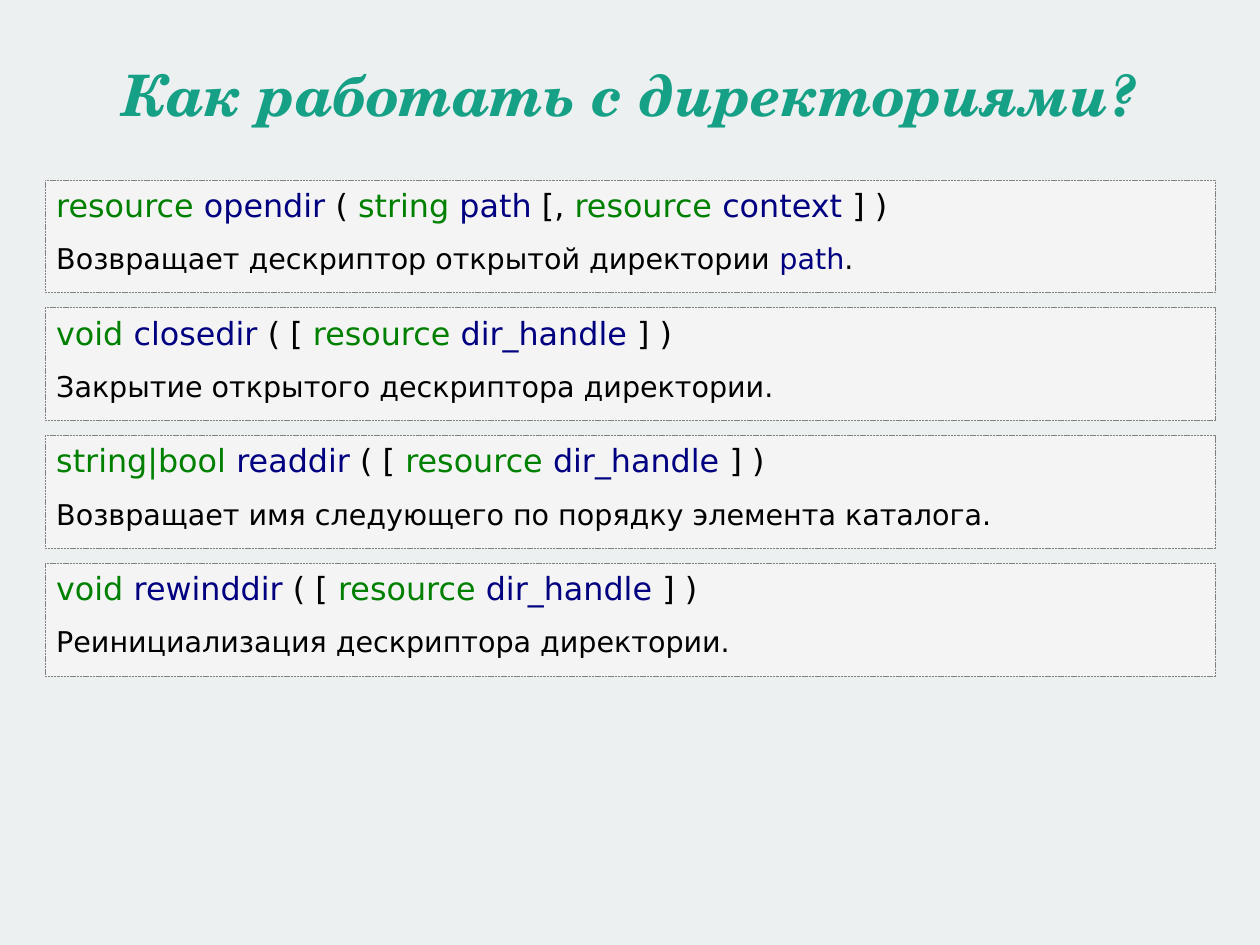
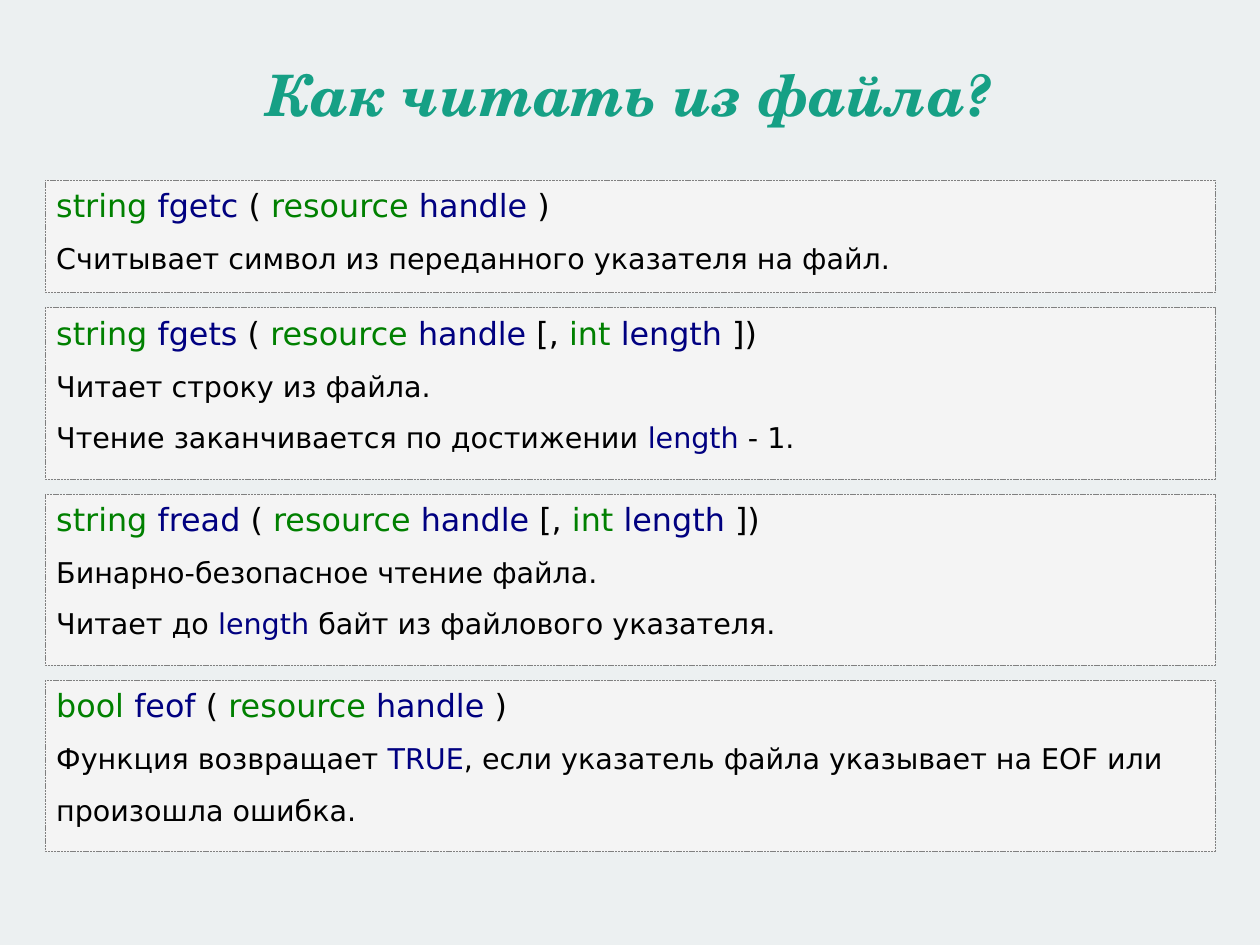
from pptx import Presentation
from pptx.dml.color import RGBColor
from pptx.enum import dml, shapes, text
from pptx.util import Cm, Pt

BACK, PANEL, EDGE = "ECF0F1", "F4F4F4", "808080"
TEAL, GREEN, NAVY, BLACK = "16A085", "008000", "000080", "000000"
TITLE_FONT, BODY_FONT = "TeX Gyre Schola", "DejaVu Sans"
TYPES = {"void", "resource", "string", "string|bool", "int", "bool"}

LEFT, WIDTH = 1, 26
TITLE_TOP, TITLE_HEIGHT = 1, 2.16
CARDS_TOP, CARD_GAP = 4, 0.33
CARD_HEIGHT, EXTRA_LINE = 2.51, 1.3

SLIDES = [
    ("Как работать с директориями?", [
        (1, ["`resource` `opendir` ( `string` `path` [, `resource` `context` ] )",
             "Возвращает дескриптор открытой директории `path`."]),
        (1, ["`void` `closedir` ( [ `resource` `dir_handle` ] )",
             "Закрытие открытого дескриптора директории."]),
        (1, ["`string|bool` `readdir` ( [ `resource` `dir_handle` ] )",
             "Возвращает имя следующего по порядку элемента каталога."]),
        (1, ["`void` `rewinddir` ( [ `resource` `dir_handle` ] )",
             "Реинициализация дескриптора директории."]),
    ]),
    ("Как читать из файла?", [
        (1, ["`string` `fgetc` ( `resource` `handle` )",
             "Считывает символ из переданного указателя на файл."]),
        (2, ["`string` `fgets` ( `resource` `handle` [, `int` `length` ])",
             "Читает строку из файла.",
             "Чтение заканчивается по достижении `length` - 1."]),
        (2, ["`string` `fread` ( `resource` `handle` [, `int` `length` ])",
             "Бинарно-безопасное чтение файла.",
             "Читает до `length` байт из файлового указателя."]),
        (2, ["`bool` `feof` ( `resource` `handle` )",
             "Функция возвращает `TRUE`, если указатель файла указывает на EOF "
             "или произошла ошибка."]),
    ]),
]


def rgb(value):
    return RGBColor.from_string(value)


def style(font, name, size, color):
    font.name = name
    font.size = Pt(size)
    font.color.rgb = rgb(color)


def set_box(sp, left, top, width, height):
    sp.left, sp.top, sp.width, sp.height = map(Cm, (left, top, width, height))


def add_title(s, title, left, top, width, height):
    sp = s.shapes.title
    set_box(sp, left, top, width, height)
    tf = sp.text_frame
    tf.text = title
    tf.auto_size = text.MSO_AUTO_SIZE.NONE
    tf.vertical_anchor = text.MSO_ANCHOR.MIDDLE
    tf.margin_left = tf.margin_top = tf.margin_right = tf.margin_bottom = 0
    p = tf.paragraphs[0]
    p.alignment = text.PP_ALIGN.CENTER
    r = p.runs[0]
    style(r.font, TITLE_FONT, 36, TEAL)
    r.font.bold = r.font.italic = True


def add_marked_text(p, line, size):
    for i, part in enumerate(line.split("`")):
        if part:
            r = p.add_run()
            r.text = part
            color = BLACK if i % 2 == 0 else GREEN if part in TYPES else NAVY
            style(r.font, BODY_FONT, size, color)


def add_card(s, lines, left, top, width, height):
    sp = s.shapes.add_shape(shapes.MSO_SHAPE.RECTANGLE,
                            Cm(left), Cm(top), Cm(width), Cm(height))
    sp.shadow.inherit = False
    sp.fill.solid()
    sp.fill.fore_color.rgb = rgb(PANEL)
    sp.line.color.rgb = rgb(EDGE)
    sp.line.width = Pt(0.5)
    sp.line.dash_style = dml.MSO_LINE.SQUARE_DOT
    tf = sp.text_frame
    tf.word_wrap = True
    tf.vertical_anchor = text.MSO_ANCHOR.TOP
    for i, line in enumerate(lines):
        p = tf.add_paragraph() if i else tf.paragraphs[0]
        p.alignment = text.PP_ALIGN.LEFT
        p.line_spacing = 1.5 if i else 1.0
        add_marked_text(p, line, 18 if i else 20)


def add_cards(s, cards, left, top, width):
    for rows, lines in cards:
        height = CARD_HEIGHT + EXTRA_LINE * (rows - 1)
        add_card(s, lines, left, top, width, height)
        top += height + CARD_GAP


def main():
    prs = Presentation()
    prs.slide_width, prs.slide_height = Cm(28), Cm(21)
    fill = prs.slide_master.background.fill
    fill.solid()
    fill.fore_color.rgb = rgb(BACK)
    for title, cards in SLIDES:
        s = prs.slides.add_slide(prs.slide_layouts.get_by_name("Title Only"))
        add_title(s, title, LEFT, TITLE_TOP, WIDTH, TITLE_HEIGHT)
        add_cards(s, cards, LEFT, CARDS_TOP, WIDTH)
    prs.save("out.pptx")


if __name__ == "__main__":
    main()
